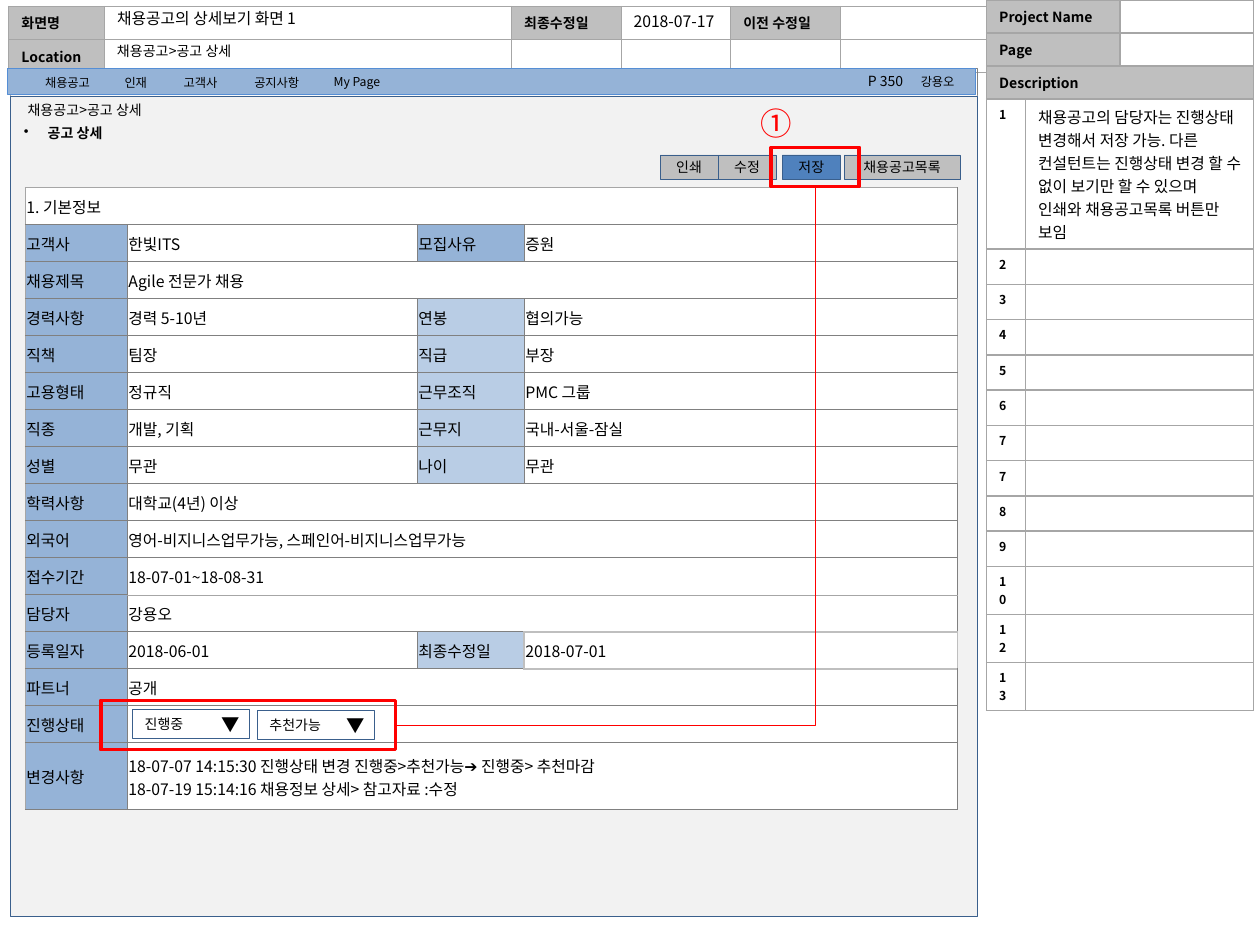
from dataclasses import dataclass
from typing import Optional

from lxml.etree import SubElement
from pptx import Presentation
from pptx.dml.color import RGBColor
from pptx.enum.shapes import MSO_CONNECTOR as Connector, MSO_SHAPE as Shape
from pptx.enum.text import MSO_ANCHOR as Anchor, MSO_AUTO_SIZE as AutoSize, PP_ALIGN as Align
from pptx.oxml import parse_xml
from pptx.oxml.ns import nsdecls, qn
from pptx.util import Inches, Pt

FONT = "Noto Sans CJK KR"
BLACK = RGBColor(0x00, 0x00, 0x00)
WHITE = RGBColor(0xFF, 0xFF, 0xFF)
RED = RGBColor(0xFF, 0x00, 0x00)
PANEL = RGBColor(0xF2, 0xF2, 0xF2)
SILVER = RGBColor(0xBF, 0xBF, 0xBF)
GRAY = RGBColor(0xA6, 0xA6, 0xA6)
DARK_GRAY = RGBColor(0x80, 0x80, 0x80)
SKY = RGBColor(0x95, 0xB3, 0xD7)
PALE_SKY = RGBColor(0xB9, 0xCD, 0xE5)
BLUE = RGBColor(0x4F, 0x81, 0xBD)
NAVY = RGBColor(0x3A, 0x5F, 0x8C)
NAV_LINE = RGBColor(0x55, 0x8E, 0xD5)

SIDES = ("L", "R", "T", "B")


@dataclass
class Box:
    left: float
    top: float
    width: float
    height: float
    fill: Optional[RGBColor] = None
    line: RGBColor = NAVY
    weight: float = 0.25
    text: str = ""
    align: Align = Align.CENTER


@dataclass
class Label:
    text: str
    left: float
    top: float
    width: float
    height: float
    size: float = 7
    color: RGBColor = BLACK
    bold: bool = False
    bullet: bool = False


def write(frame, text: str, size: float, color=BLACK, bold=False, align=Align.LEFT) -> None:
    frame.text = text
    for paragraph in frame.paragraphs:
        paragraph.alignment = align
        for run in paragraph.runs:
            run.font.name, run.font.size = FONT, Pt(size)
            run.font.bold, run.font.color.rgb = bold, color
            SubElement(run.font._element, qn("a:ea"), typeface=FONT)
        if not paragraph.runs:  # keeps empty rows as low as filled ones
            SubElement(paragraph._p, qn("a:endParaRPr"), sz=str(int(size * 100)))


def draw_box(slide, box: Box) -> None:
    shape = slide.shapes.add_shape(Shape.RECTANGLE, Inches(box.left), Inches(box.top),
                                   Inches(box.width), Inches(box.height))
    shape.shadow.inherit = False
    if box.fill is None:
        shape.fill.background()
    else:
        shape.fill.solid()
        shape.fill.fore_color.rgb = box.fill
    shape.line.color.rgb, shape.line.width = box.line, Pt(box.weight)
    if box.text:
        shape.text_frame.vertical_anchor = Anchor.MIDDLE
        write(shape.text_frame, box.text, 8, align=box.align)


def draw_label(slide, label: Label, shape=None) -> None:
    place = [Inches(v) for v in (label.left, label.top, label.width, label.height)]
    if shape is None:
        shape = slide.shapes.add_textbox(*place)
    shape.left, shape.top, shape.width, shape.height = place
    frame = shape.text_frame
    frame.word_wrap, frame.auto_size = True, AutoSize.SHAPE_TO_FIT_TEXT
    frame.vertical_anchor = Anchor.TOP
    write(frame, label.text, label.size, label.color, label.bold)
    if label.bullet:
        properties = frame.paragraphs[0]._p.get_or_add_pPr()
        properties.set("marL", str(Inches(0.19)))
        properties.set("indent", str(-Inches(0.19)))
        SubElement(properties, qn("a:buChar"), char="•")


def add_grid(slide, left: float, top: float, columns: list, rows: list):
    grid = slide.shapes.add_table(len(rows), len(columns), Inches(left), Inches(top),
                                  Inches(sum(columns)), Inches(sum(rows))).table
    grid.first_row = grid.horz_banding = False
    for column, width in zip(grid.columns, columns):
        column.width = Inches(width)
    for row, height in zip(grid.rows, rows):
        row.height = Inches(height)
    return grid


def style_cell(cell, fill: RGBColor, edges: dict) -> None:
    """Fill a cell and give it borders; edges maps a side to (colour, points)."""
    cell.fill.solid()
    cell.fill.fore_color.rgb = fill
    for index, side in enumerate(SIDES):
        color, weight = edges[side]
        cell._tc.get_or_add_tcPr().insert(index, parse_xml(
            f'<a:ln{side} {nsdecls("a")} w="{Pt(weight)}"><a:solidFill>'
            f'<a:srgbClr val="{color}"/></a:solidFill></a:ln{side}>'))


def draw_header(slide) -> None:
    grid = add_grid(slide, 0.07, 0.05, [0.76, 3.23, 0.87, 0.87, 0.87, 1.18], [0.26] * 2)
    names = [["화면명", "", "최종수정일", "", "이전 수정일", ""], ["Location"] + [""] * 5]
    for r, row in enumerate(names):
        for c, name in enumerate(row):
            write(grid.cell(r, c).text_frame, name, 8, bold=True)
            style_cell(grid.cell(r, c), SILVER if name else WHITE,
                       dict.fromkeys(SIDES, (GRAY, 0.5)))


def draw_description(slide) -> None:
    heads = ["Project Name", "Page", "Description"]
    numbers = "1 2 3 4 5 6 7 7 8 9 10 12 13".split()
    note = ("채용공고의 담당자는 진행상태 변경해서 저장 가능. 다른 컨설턴트는 진행상태 변경 할 수 없이 "
            "보기만 할 수 있으며 인쇄와 채용공고목록 버튼만 보임")
    grid = add_grid(slide, 7.83, 0, [0.31, 0.75, 1.06], [0.26] * 3 + [1.19] + [0.28] * 12)
    for r, name in enumerate(heads + numbers):
        is_head = r < len(heads)
        for c in range(3):
            edges = dict.fromkeys(SIDES, (GRAY, 1))
            if not is_head and c < 2:
                edges["R" if c == 0 else "L"] = (GRAY, 0.5)
            filled = is_head and (c < 2 or name == "Description")
            style_cell(grid.cell(r, c), SILVER if filled else WHITE, edges)
            write(grid.cell(r, c).text_frame, "", 8 if is_head else 9)
        write(grid.cell(r, 0).text_frame, name, 8 if is_head else 7, bold=True)
        first, last = (1, 2) if not is_head else (0, 2 if name == "Description" else 1)
        grid.cell(r, first).merge(grid.cell(r, last))
    write(grid.cell(len(heads), 1).text_frame, note, 9)


def draw_form(slide) -> None:
    rows = [
        ["1. 기본정보"], ["고객사", "한빛ITS", "모집사유", "증원"], ["채용제목", "Agile 전문가 채용"],
        ["경력사항", "경력 5-10년", "연봉", "협의가능"], ["직책", "팀장", "직급", "부장"],
        ["고용형태", "정규직", "근무조직", "PMC 그룹"], ["직종", "개발, 기획", "근무지", "국내-서울-잠실"],
        ["성별", "무관", "나이", "무관"], ["학력사항", "대학교(4년) 이상"],
        ["외국어", "영어-비지니스업무가능, 스페인어-비지니스업무가능"], ["접수기간", "18-07-01~18-08-31"],
        ["담당자", "강용오"], ["등록일자", "2018-06-01", "최종수정일", "2018-07-01"], ["파트너", "공개"],
        ["진행상태", ""],
        ["변경사항", "18-07-07 14:15:30 진행상태 변경 진행중>추천가능➔ 진행중> 추천마감\n"
                 "18-07-19 15:14:16 채용정보 상세> 참고자료 :수정"],
    ]
    last_height = 0.53
    row_height = (4.94 - last_height) / (len(rows) - 1)
    grid = add_grid(slide, 0.2, 1.49, [0.81, 2.3, 0.85, 3.44],
                    [row_height] * (len(rows) - 1) + [last_height])
    owner, dates = 11, 12
    for r, texts in enumerate(rows):
        for c in range(4):
            cell = grid.cell(r, c)
            cell.margin_left = cell.margin_top = cell.margin_right = Inches(0.01)
            cell.margin_bottom, cell.vertical_anchor = 0, Anchor.MIDDLE
            write(cell.text_frame, texts[c] if c < len(texts) else "", 9)
            edges = dict.fromkeys(SIDES, (DARK_GRAY, 0.5))
            if c == 0:
                edges["L"] = (GRAY, 0.5)
            if c == 3:
                edges["R"] = (GRAY, 0.5) if r < owner else (SILVER, 1)
            if r == 0:
                edges["T"] = (GRAY, 0.5)
            if c and r in (owner - 1, owner):
                edges["B" if r < owner else "T"] = (GRAY, 0.25)
            if r == dates and c == 2:
                edges = dict.fromkeys(SIDES, (GRAY, 0.25)) | {"R": (SILVER, 1)}
            if r == dates and c == 3:
                edges = dict.fromkeys(SIDES, (SILVER, 1))
            fill = WHITE
            if r and c == 0 or r == 1 and c == 2:
                fill = SKY
            elif c == 2 and len(texts) == 4:
                fill = PALE_SKY
            style_cell(cell, fill, edges)
        if len(texts) < 4:
            grid.cell(r, len(texts) - 1).merge(grid.cell(r, 3))


def draw_callout_line(slide) -> None:
    # A quarter turn makes the elbow run down from the save button, then left
    line = slide.shapes.add_connector(Connector.ELBOW, Inches(2.67), Inches(1.96),
                                      Inches(6.95), Inches(5.28))
    line.line.color.rgb, line.line.width = RED, Pt(0.75)
    properties = line._element.spPr
    properties.find(qn("a:xfrm")).set("rot", str(90 * 60000))
    properties.find(qn("a:prstGeom")).set("prst", "bentConnector2")
    SubElement(properties, qn("a:effectLst"))


PANELS = [Box(0.08, 0.54, 7.68, 6.72, line=DARK_GRAY), Box(0.08, 0.76, 7.68, 6.51, PANEL)]
CONTROLS = [
    Box(0.06, 0.54, 7.68, 0.21, SKY, NAV_LINE),
    Box(1.05, 5.63, 0.93, 0.23, WHITE, text="진행중", align=Align.LEFT),
    Box(2.04, 5.64, 0.93, 0.23, WHITE, text="추천가능", align=Align.LEFT),
    Box(5.24, 1.23, 0.46, 0.19, SILVER, text="인쇄"),
    Box(5.7, 1.23, 0.46, 0.19, SILVER, text="수정"),
    Box(6.21, 1.23, 0.46, 0.19, BLUE, text="저장"),
    Box(6.7, 1.23, 0.92, 0.19, SILVER, text="채용공고목록"),
]
HIGHLIGHTS = [Box(0.8, 5.56, 2.34, 0.39, line=RED, weight=2),
              Box(6.12, 1.17, 0.7, 0.31, line=RED, weight=2)]
SCREEN_NAME = Label("채용공고의 상세보기 화면 1", 0.83, 0.02, 3.07, 0.25, 9)
LABELS = [
    Label("2018-07-17", 4.93, 0.04, 0.94, 0.25, 9),
    Label("채용공고>공고 상세", 0.83, 0.29, 2.59, 0.24, 8),
    Label("채용공고", 0.26, 0.55, 0.63, 0.22),
    Label("인재", 0.89, 0.55, 0.63, 0.22),
    Label("고객사", 1.36, 0.55, 0.63, 0.22),
    Label("공지사항", 1.92, 0.55, 0.63, 0.22),
    Label("My Page", 2.55, 0.54, 0.8, 0.22),
    Label("P 350", 6.79, 0.53, 0.57, 0.24, 8),
    Label("강용오", 7.21, 0.54, 0.54, 0.22),
    Label("채용공고>공고 상세", 0.12, 0.76, 2.59, 0.24, 8),
    Label("공고 상세", 0.09, 0.94, 2.59, 0.24, 8, bold=True, bullet=True),
    Label("▼", 1.66, 5.61, 0.43, 0.29, 10.5),
    Label("▼", 2.65, 5.62, 0.43, 0.29, 10.5),
    Label("①", 5.94, 0.78, 0.39, 0.4, 18, RED),
]


def main() -> None:
    deck = Presentation()
    deck.slide_width, deck.slide_height = Inches(10), Inches(7.5)
    slide = deck.slides.add_slide(deck.slide_layouts[5])
    title = slide.shapes.title

    # Specification frame, then the screen itself
    draw_header(slide)
    draw_description(slide)
    for panel in PANELS:
        draw_box(slide, panel)
    draw_form(slide)
    for control in CONTROLS:
        draw_box(slide, control)

    # Title goes in front of the header table
    title._element.getparent().append(title._element)
    draw_label(slide, SCREEN_NAME, title)
    for label in LABELS:
        draw_label(slide, label)

    # Red marks
    draw_callout_line(slide)
    for highlight in HIGHLIGHTS:
        draw_box(slide, highlight)
    deck.save("out.pptx")


if __name__ == "__main__":
    main()
